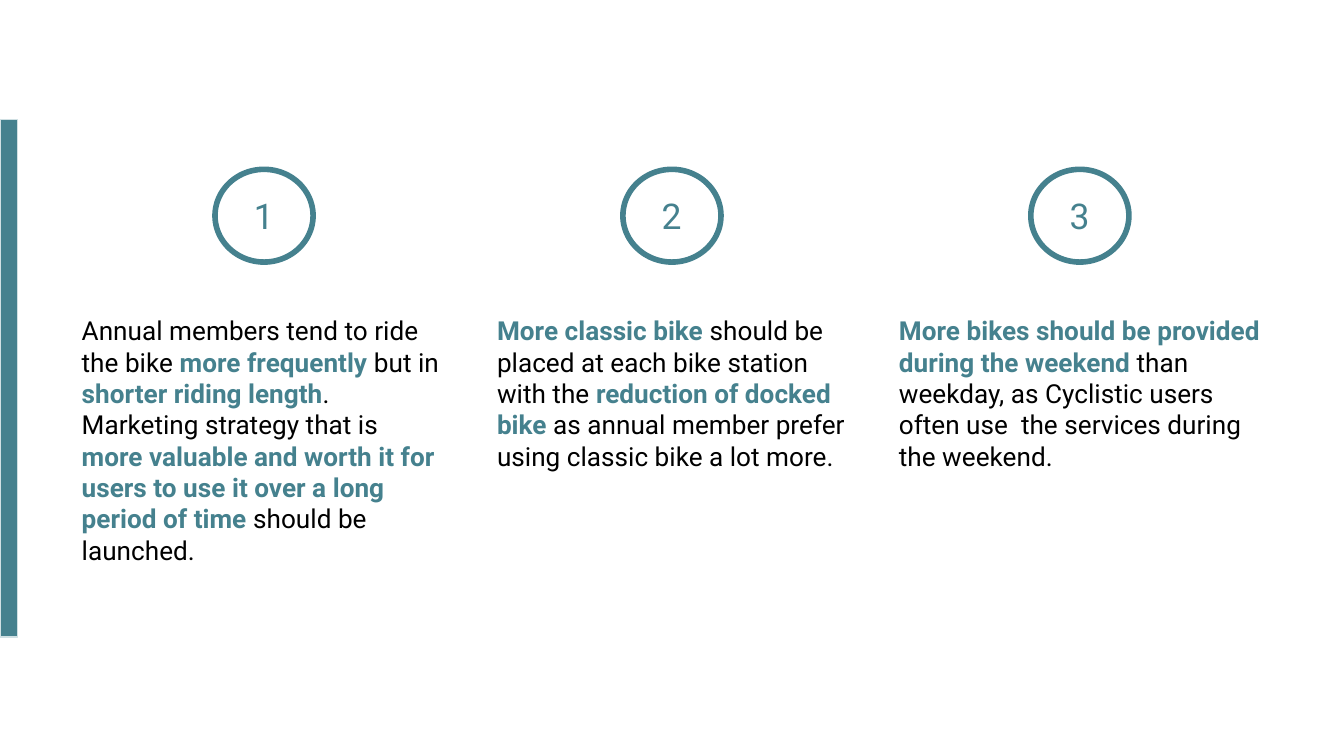
from pptx import Presentation
from pptx.dml.color import RGBColor
from pptx.enum.shapes import MSO_SHAPE as Shape
from pptx.enum.text import MSO_AUTO_SIZE as AutoSize
from pptx.util import Inches, Pt

COLORS = {"teal": "45818E", "pale": "D0E0E3", "black": "000000"}
FONT = "Roboto"

RECOMMENDATIONS = [
    (0.51, 2.09, [
        ("Annual members tend to ride the bike ", False),
        ("more frequently", True),
        (" but in ", False),
        ("shorter riding length", True),
        (". Marketing strategy that is ", False),
        ("more valuable and worth it for users to use it over a long period of time", True),
        (" should be launched.", False),
    ]),
    (3.6, 1.38, [
        ("More classic bike", True),
        (" should be placed at each bike station with the ", False),
        ("reduction of docked bike", True),
        (" as annual member prefer using classic bike a lot more.", False),
    ]),
    (6.59, 1.38, [
        ("More bikes should be provided during the weekend", True),
        (" than weekday, as Cyclistic users often use  the services during the weekend.", False),
    ]),
]

FIRST_RING, LAST_RING = 1.6, 7.67
RING_PITCH = (LAST_RING - FIRST_RING) / (len(RECOMMENDATIONS) - 1)
RING_WIDTH, RING_HEIGHT = 0.73, 0.69
NUMBER_WIDTH = 0.35


def color(name):
    return RGBColor.from_string(COLORS[name])


def add_outlined(kind, box, line, width, fill=None):
    shape = slide.shapes.add_shape(kind, *map(Inches, box))
    shape.shadow.inherit = False
    if fill:
        shape.fill.solid()
        shape.fill.fore_color.rgb = color(fill)
    else:
        shape.fill.background()
    shape.line.color.rgb = color(line)
    shape.line.width = Pt(width)


def add_text(box, runs, size):
    frame = slide.shapes.add_textbox(*map(Inches, box)).text_frame
    frame.word_wrap = True
    frame.auto_size = AutoSize.SHAPE_TO_FIT_TEXT
    for side in ("left", "top", "right", "bottom"):
        setattr(frame, f"margin_{side}", Inches(0.1))
    for text, tint, bold in runs:
        run = frame.paragraphs[0].add_run()
        run.text = text
        run.font.color.rgb = color(tint)
        for key, value in {"name": FONT, "size": Pt(size), "bold": bold}.items():
            setattr(run.font, key, value)


deck = Presentation()
deck.slide_width = Inches(10)
deck.slide_height = Inches(10 * 9 / 16)
slide = deck.slides.add_slide(deck.slide_layouts[6])

for index, (left, height, parts) in enumerate(RECOMMENDATIONS):
    ring_left = FIRST_RING + index * RING_PITCH
    number_left = ring_left + (RING_WIDTH - NUMBER_WIDTH) / 2
    add_outlined(Shape.OVAL, (ring_left, 1.26, RING_WIDTH, RING_HEIGHT), "teal", 3)
    add_text((number_left, 1.34, NUMBER_WIDTH, 0.52), [(str(index + 1), "teal", False)], 19)

add_outlined(Shape.RECTANGLE, (0, 0.89, 0.13, 3.85), "pale", 0.75, "teal")

for left, height, parts in RECOMMENDATIONS:
    runs = [(text, "teal" if strong else "black", strong) for text, strong in parts]
    add_text((left, 2.24, 2.9, height), runs, 14)

deck.save("out.pptx")
